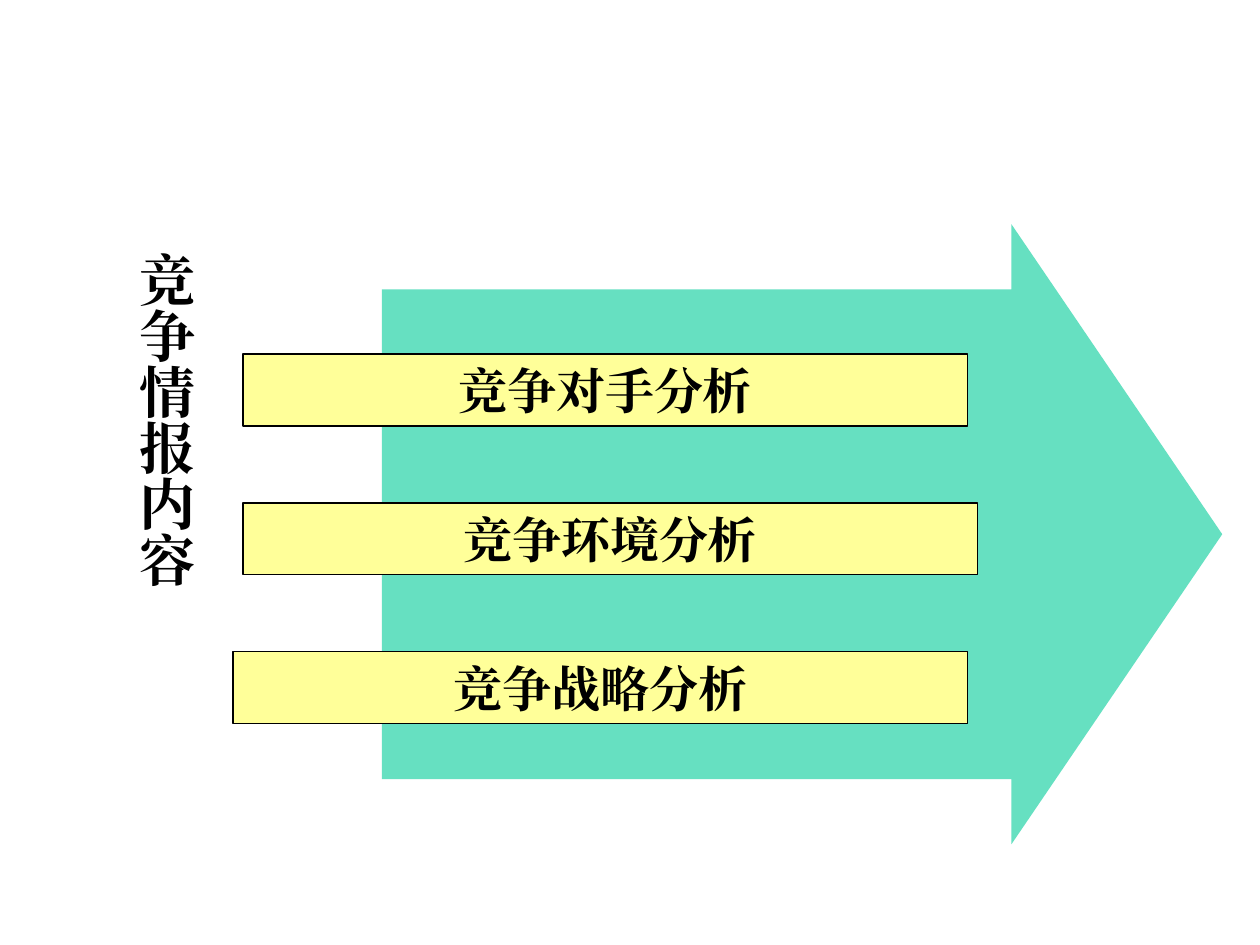
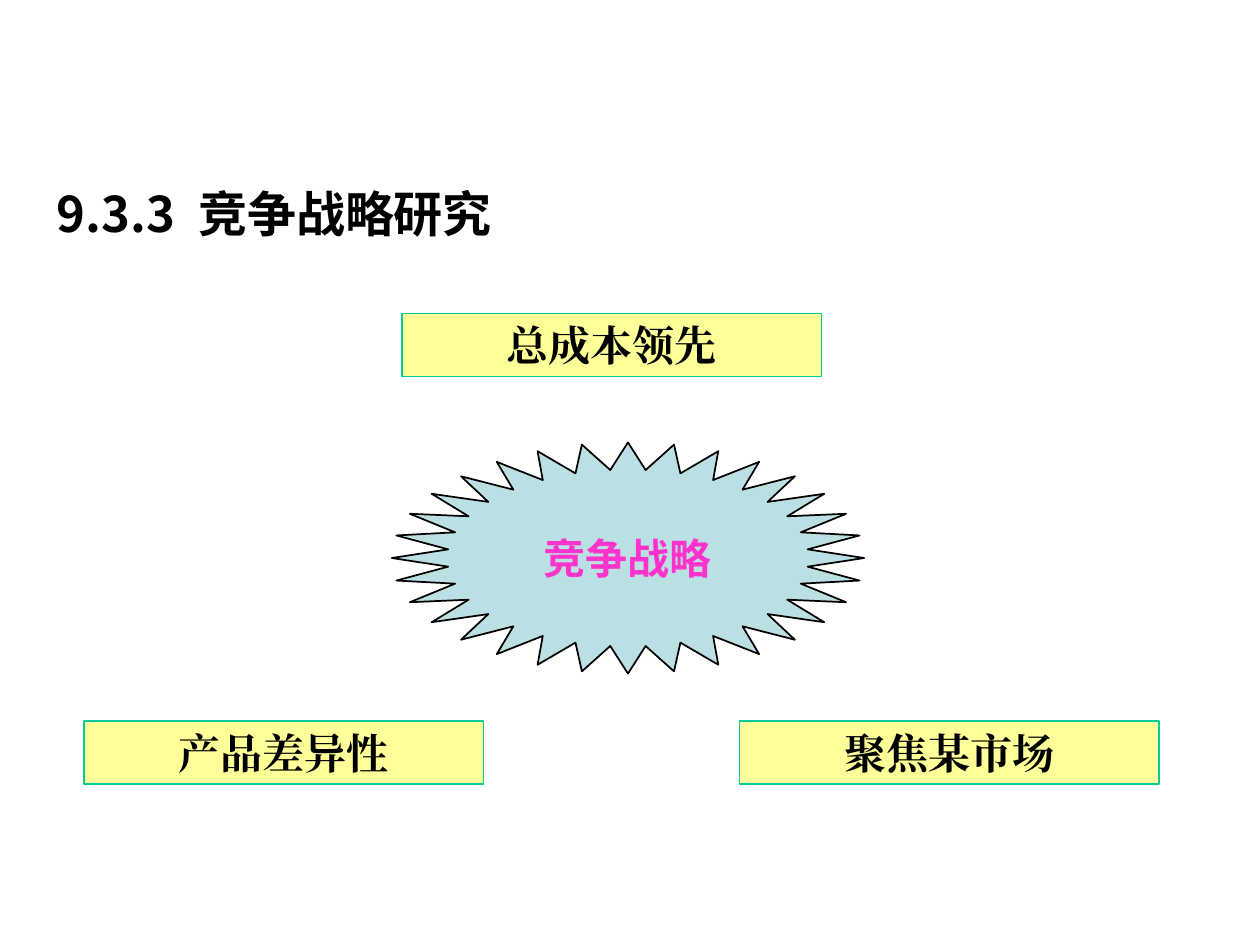
import math

from lxml import etree
from pptx import Presentation
from pptx import util as u
from pptx.dml.color import RGBColor
from pptx.enum import shapes, text
from pptx.oxml import ns

# Content: places are left, top, width, height in centimetres
COLORS = {"black": "000000", "yellow": "FFFF99", "green": "00CC99",
          "pale blue": "BBE0E3", "pink": "FF33CC"}
SERIF, SANS, CJK = "Times New Roman", "Arial", "Noto Sans CJK SC"

ARROW = {"place": (7.7, 4.52, 16.94, 12.5), "adjustments": (0.79, 0.34), "opacity": 60}
CONTENT_LABEL = ("竞争情报内容", (1.32, 4.32, 2.84, 12.8))
# Text, left, width
ANALYSES = [("竞争对手分析", 4.9, 14.6),
            ("竞争环境分析", 4.9, 14.8),
            ("竞争战略分析", 4.7, 14.8)]
ANALYSIS_TOP, ANALYSIS_STEP, ANALYSIS_HEIGHT = 7.14, 3, 1.45

# Title runs: text, letter spacing in points
TITLE_RUNS = [("9.3.3", 0), (" ", 7), ("竞争战略研究", 0)]
TITLE_PLACE = (0.89, 3.33, 12.19, 1.68)
STRATEGIES = [("总成本领先", (8.1, 6.32, 8.46, 1.27)),
              ("产品差异性", (1.7, 14.53, 8.05, 1.27)),
              ("聚焦某市场", (14.91, 14.53, 8.46, 1.27))]
STAR = {"text": "竞争战略", "center": (12.66, 11.25), "radii": (4.76, 2.33),
        "points": 32, "inner": 0.765}


def cm(values):
    return [u.Cm(value) for value in values]


def color(name):
    return RGBColor.from_string(COLORS[name])


def paint(shape, fill, line=None, width=1):
    shape.shadow.inherit = False
    shape.fill.solid()
    shape.fill.fore_color.rgb = color(fill)
    if line:
        shape.line.color.rgb = color(line)
        shape.line.width = u.Pt(width)
    else:
        shape.line.fill.background()


def write(shape, runs, size, font=SERIF, ink="black", align=text.PP_ALIGN.CENTER,
          anchor=text.MSO_ANCHOR.MIDDLE, wrap=True, insets=(0.25, 0.13)):
    frame = shape.text_frame
    frame.word_wrap = wrap
    frame.vertical_anchor = anchor
    frame.margin_left = frame.margin_right = u.Cm(insets[0])
    frame.margin_top = frame.margin_bottom = u.Cm(insets[1])
    paragraph = frame.paragraphs[0]
    paragraph.alignment = align
    for words, _ in runs:
        run = paragraph.add_run()
        run.text = words
        run.font.size, run.font.bold, run.font.name = u.Pt(size), True, font
        run.font.color.rgb = color(ink)
    # East Asian font and letter spacing
    for properties, (_, spacing) in zip(shape.element.xpath(".//a:rPr"), runs):
        etree.SubElement(properties, ns.qn("a:ea")).set("typeface", font)
        if spacing:
            properties.set("spc", str(spacing * 100))
    return paragraph


def add_box(slide, words, place, size, line, width):
    box = slide.shapes.add_shape(shapes.MSO_SHAPE.RECTANGLE, *cm(place))
    paint(box, "yellow", line, width)
    write(box, [(words, 0)], size)


def add_star(slide):
    center_x, center_y = STAR["center"]
    radius_x, radius_y = STAR["radii"]
    corners = []
    for index in range(2 * STAR["points"]):
        angle = math.pi * index / STAR["points"]
        reach = STAR["inner"] if index % 2 else 1
        corners.append(cm((center_x + reach * radius_x * math.sin(angle),
                           center_y - reach * radius_y * math.cos(angle))))
    builder = slide.shapes.build_freeform(*corners[0])
    builder.add_line_segments(corners[1:], close=True)
    star = builder.convert_to_shape()
    paint(star, "pale blue", "black")
    write(star, [(STAR["text"], 0)], 24, SANS, "pink", wrap=False)


def build_contents(slide):
    # Translucent arrow behind the bars
    arrow = slide.shapes.add_shape(shapes.MSO_SHAPE.RIGHT_ARROW, *cm(ARROW["place"]))
    for index, value in enumerate(ARROW["adjustments"]):
        arrow.adjustments[index] = value
    paint(arrow, "green")
    fill_color = arrow.element.spPr.find(ns.qn("a:solidFill"))[0]
    etree.SubElement(fill_color, ns.qn("a:alpha")).set("val", str(ARROW["opacity"] * 1000))

    # Vertical label
    words, place = CONTENT_LABEL
    label = slide.shapes.add_textbox(*cm(place))
    write(label, [(words, 0)], 32, anchor=text.MSO_ANCHOR.TOP, insets=(0.13, 0.76))
    label.element.txBody.bodyPr.set("vert", "eaVert")

    # Analysis bars
    for row, (words, left, width) in enumerate(ANALYSES):
        top = ANALYSIS_TOP + row * ANALYSIS_STEP
        add_box(slide, words, (left, top, width, ANALYSIS_HEIGHT), 28, "black", 0.75)


def build_strategies(slide):
    add_star(slide)
    for words, place in STRATEGIES:
        add_box(slide, words, place, 24, "green", 1)
    # Title
    title = slide.shapes.add_textbox(*cm(TITLE_PLACE))
    paragraph = write(title, TITLE_RUNS, 28, CJK, align=text.PP_ALIGN.LEFT)
    paragraph.line_spacing = 1.2


def main():
    presentation = Presentation()
    presentation.slide_width, presentation.slide_height = cm((25.4, 19.05))
    for build in (build_contents, build_strategies):
        build(presentation.slides.add_slide(presentation.slide_layouts[6]))
    presentation.save("out.pptx")


if __name__ == "__main__":
    main()
